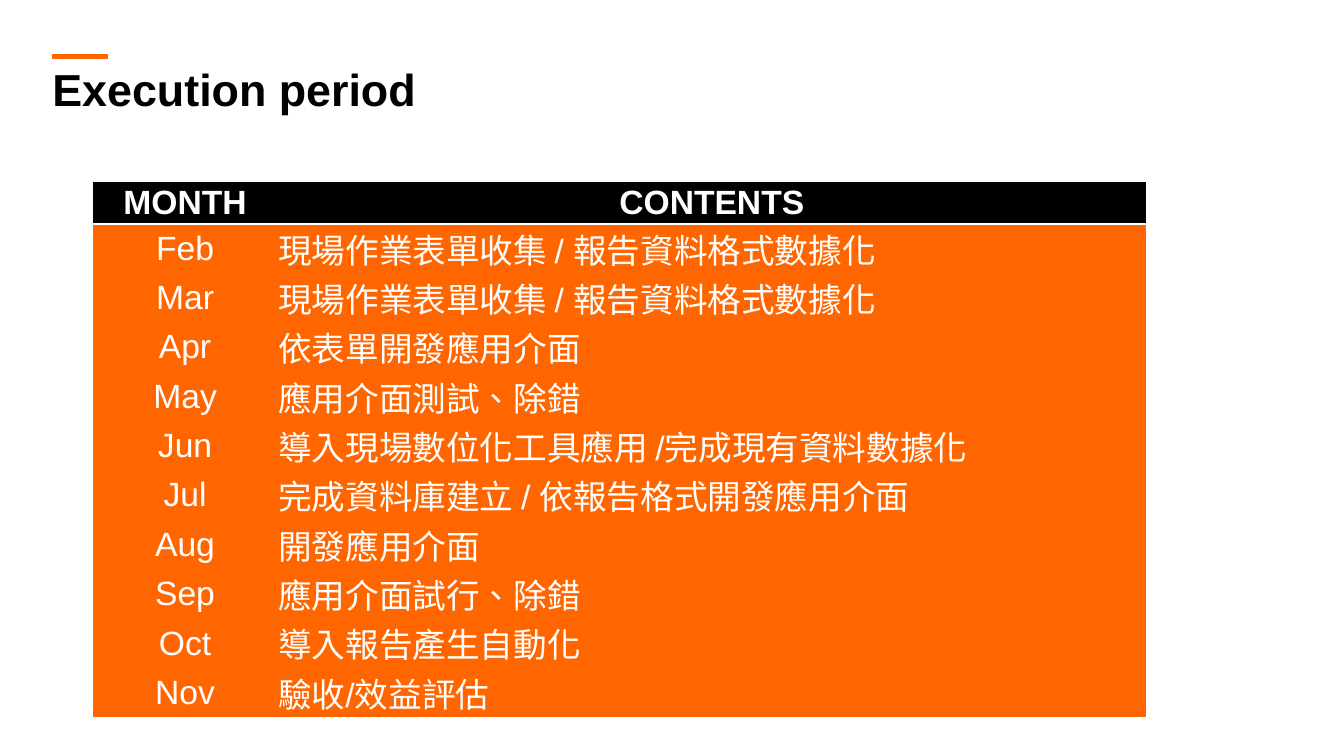
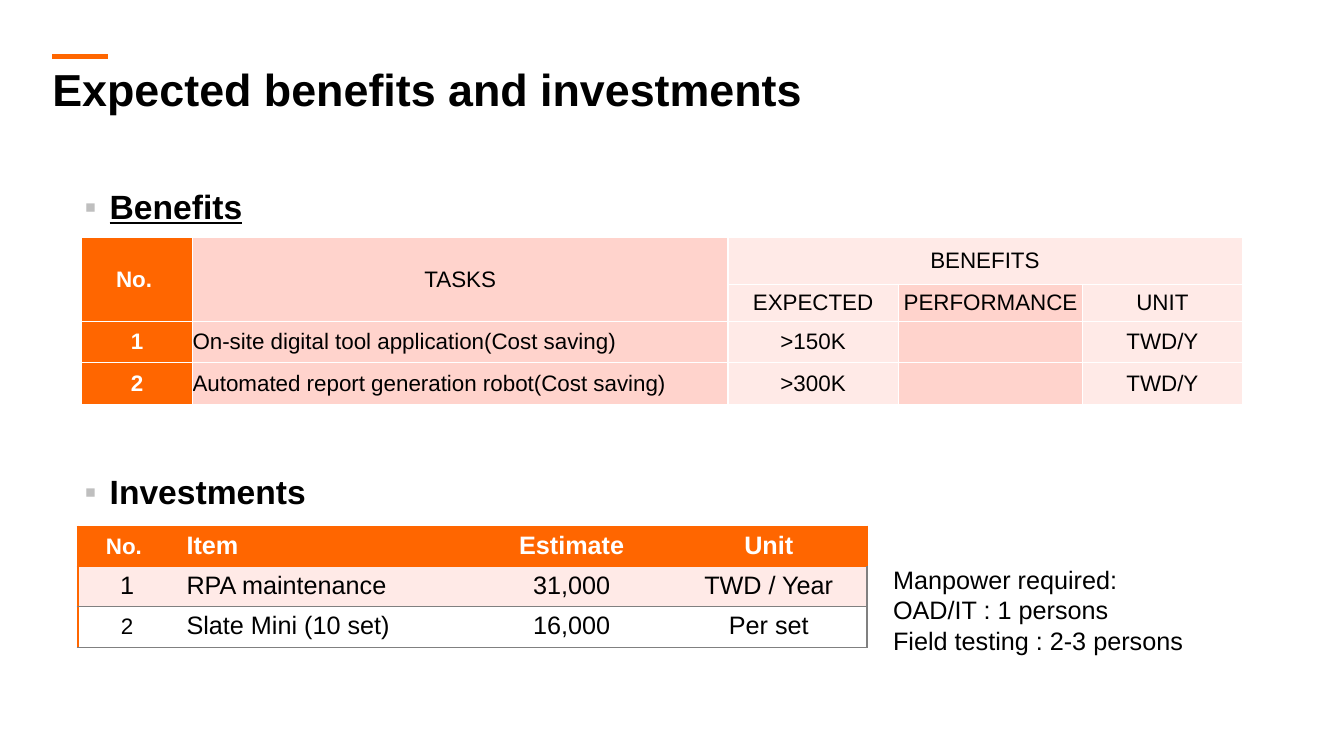
import pptx
import pptx.dml.color
import pptx.enum.shapes
import pptx.enum.text
import pptx.oxml
import pptx.oxml.ns
import pptx.util
from lxml import etree

RGB = pptx.dml.color.RGBColor
ORANGE = RGB(0xFF, 0x66, 0x00)
BLACK = RGB(0x00, 0x00, 0x00)
WHITE = RGB(0xFF, 0xFF, 0xFF)
ROSE = RGB(0xFF, 0xD3, 0xCC)
BLUSH = RGB(0xFF, 0xEA, 0xE7)
GREY = RGB(0x80, 0x80, 0x80)
SILVER = RGB(0xBF, 0xBF, 0xBF)
FONT = "Arial"
PX = 9144
LEFT = pptx.enum.text.PP_ALIGN.LEFT
CENTER = pptx.enum.text.PP_ALIGN.CENTER
MIDDLE = pptx.enum.text.MSO_ANCHOR.MIDDLE
TOP = pptx.enum.text.MSO_ANCHOR.TOP
qn = pptx.oxml.ns.qn


class Deck:
    """Holds the shared style and the slide being drawn."""

    def __init__(self):
        self.prs = pptx.Presentation()
        self.prs.slide_width, self.prs.slide_height = self.px(1333, 750)
        self.s = None

    def px(self, *lengths):
        return [pptx.util.Emu(n * PX) for n in lengths]

    def slide(self, title):
        self.s = self.prs.slides.add_slide(self.prs.slide_layouts[6])
        self.rule(52, 56, 107, 56)
        tf = self.text(52, 67, 1227, 48, [title], 32, True)
        tf.margin_left = tf.margin_right = tf.margin_top = tf.margin_bottom = 0
        tf.paragraphs[0].line_spacing = 0.9

    def rule(self, *ends):
        kind = pptx.enum.shapes.MSO_CONNECTOR.STRAIGHT
        line = self.s.shapes.add_connector(kind, *self.px(*ends))
        line.line.color.rgb = ORANGE
        line.line.width = pptx.util.Pt(3)
        etree.SubElement(line._element.spPr, qn("a:effectLst"))

    def run(self, p, text, size, bold=False, color=BLACK):
        r = p.add_run()
        r.text = text
        r.font.name = FONT
        r.font.size = pptx.util.Pt(size)
        r.font.bold = bold
        r.font.color.rgb = color
        if not text.isascii():
            r._r.get_or_add_rPr().set("lang", "zh-TW")
        return r

    def text(self, x, y, w, h, lines, size, bold=False):
        tf = self.s.shapes.add_textbox(*self.px(x, y, w, h)).text_frame
        tf.word_wrap = True
        for i, line in enumerate(lines):
            p = tf.add_paragraph() if i else tf.paragraphs[0]
            self.run(p, line, size, bold)
        return tf

    def heading(self, y, text, underline=False):
        p = self.text(74, y, 330, 48, [text], 24, True).paragraphs[0]
        p.runs[0].font.underline = underline
        p.line_spacing = 0.9
        p.space_before = pptx.util.Pt(10)
        pPr = p._p.get_or_add_pPr()
        pPr.set("marL", str(25 * PX))
        pPr.set("indent", str(-25 * PX))
        color = etree.SubElement(pPr, qn("a:buClr"))
        etree.SubElement(color, qn("a:srgbClr"), val=str(SILVER))
        etree.SubElement(pPr, qn("a:buFont"), typeface=FONT)
        etree.SubElement(pPr, qn("a:buChar"), char="▪")

    def table(self, x, y, widths, heights):
        frame = self.s.shapes.add_table(
            len(heights), len(widths),
            *self.px(x, y, sum(widths), sum(heights)))
        tbl = frame.table
        tbl.first_row = tbl.horz_banding = False
        for col, w in zip(tbl.columns, self.px(*widths)):
            col.width = w
        for row, h in zip(tbl.rows, self.px(*heights)):
            row.height = h
        return tbl

    def cell(self, cell, text, fill, size, bold=False, color=BLACK,
             align=CENTER, inset=(0, 0), anchor=MIDDLE, borders=None):
        self.borders(cell, borders or {})
        cell.fill.solid()
        cell.fill.fore_color.rgb = fill
        cell.vertical_anchor = anchor
        cell.margin_left, cell.margin_top = self.px(*inset)
        cell.margin_right, cell.margin_bottom = self.px(*inset)
        p = cell.text_frame.paragraphs[0]
        p.alignment = align
        if text:
            self.run(p, text, size, bold, color)

    def borders(self, cell, sides):
        tcPr = cell._tc.get_or_add_tcPr()
        for side in "LRTB":
            ln = etree.SubElement(tcPr, qn("a:ln" + side))
            if side in sides:
                color, width = sides[side]
                ln.set("w", str(pptx.util.Pt(width)))
                fill = etree.SubElement(ln, qn("a:solidFill"))
                etree.SubElement(fill, qn("a:srgbClr"), val=str(color))
            else:
                ln.set("w", "0")
                etree.SubElement(ln, qn("a:noFill"))


def execution_period(deck):
    deck.slide("Execution period")
    rows = [
        ("MONTH", "CONTENTS"),
        ("Feb", "現場作業表單收集 / 報告資料格式數據化"),
        ("Mar", "現場作業表單收集 / 報告資料格式數據化"),
        ("Apr", "依表單開發應用介面"),
        ("May", "應用介面測試、除錯"),
        ("Jun", "導入現場數位化工具應用 /完成現有資料數據化"),
        ("Jul", "完成資料庫建立 / 依報告格式開發應用介面"),
        ("Aug", "開發應用介面"),
        ("Sep", "應用介面試行、除錯"),
        ("Oct", "導入報告產生自動化"),
        ("Nov", "驗收/效益評估"),
    ]
    tbl = deck.table(92, 181, [183, 862], [41] + [49] * (len(rows) - 1))
    edges = {0: {"B": (WHITE, 2)}, 1: {"T": (WHITE, 2)}}
    for i, row in enumerate(rows):
        for j, text in enumerate(row):
            deck.cell(tbl.cell(i, j), text, ORANGE if i else BLACK, 24,
                      bold=i == 0, color=WHITE,
                      align=LEFT if i and j else CENTER,
                      inset=(1, 0), borders=edges.get(i))


def benefits_table(deck):
    rows = [
        ("No. ", "TASKS", "BENEFITS", "", ""),
        ("", "", "EXPECTED", "PERFORMANCE", "UNIT"),
        ("1", "On-site digital tool application(Cost saving)",
         ">150K", "", "TWD/Y"),
        ("2", "Automated report generation robot(Cost saving)",
         ">300K", "", "TWD/Y"),
    ]
    fills = [ORANGE, ROSE, BLUSH, ROSE, BLUSH]
    tbl = deck.table(81, 236, [110, 531, 169, 183, 158], [46, 37, 41, 41])
    for first, last in [((0, 0), (1, 0)), ((0, 1), (1, 1)), ((0, 2), (0, 4))]:
        tbl.cell(*first).merge(tbl.cell(*last))
    for i, row in enumerate(rows):
        for j, text in enumerate(row):
            deck.cell(tbl.cell(i, j), text, fills[j], 16, bold=j == 0,
                      color=BLACK if j else WHITE,
                      align=LEFT if j == 1 and i > 1 else CENTER,
                      borders=dict.fromkeys("LRTB", (WHITE, 1)))


def investments_table(deck):
    rows = [
        ("No. ", "Item", "Estimate", "Unit"),
        ("1", "RPA maintenance", "31,000", "TWD / Year"),
        ("2", "Slate Mini (10 set)", "16,000", "Per set"),
    ]
    fills = [ORANGE, BLUSH, WHITE]
    tbl = deck.table(77, 522, [98, 294, 196, 195], [40] * 3)
    for i, row in enumerate(rows):
        for j, text in enumerate(row):
            edge = GREY if i else ORANGE
            borders = {"B": (edge, 1), "T": (GREY if i > 1 else ORANGE, 1)}
            if j == 0:
                borders["L"] = (ORANGE, 1.5)
            if j == 3:
                borders["R"] = (edge, 1)
            small = j == 0 and i != 1
            deck.cell(tbl.cell(i, j), text, fills[i], 16 if small else 18,
                      bold=i == 0, color=BLACK if i else WHITE,
                      align=LEFT if j == 1 else CENTER,
                      inset=(0, 0) if small else (10, 5),
                      anchor=MIDDLE if small else TOP, borders=borders)


def benefits_and_investments(deck):
    deck.slide("Expected benefits and investments")
    deck.heading(184, "Benefits", underline=True)
    benefits_table(deck)
    deck.heading(467, "Investments")
    deck.text(876, 555, 310, 101, [
        "Manpower required:",
        "OAD/IT : 1 persons",
        "Field testing : 2-3 persons",
    ], 18)
    investments_table(deck)


def main():
    deck = Deck()
    execution_period(deck)
    benefits_and_investments(deck)
    deck.prs.save("out.pptx")


if __name__ == "__main__":
    main()
